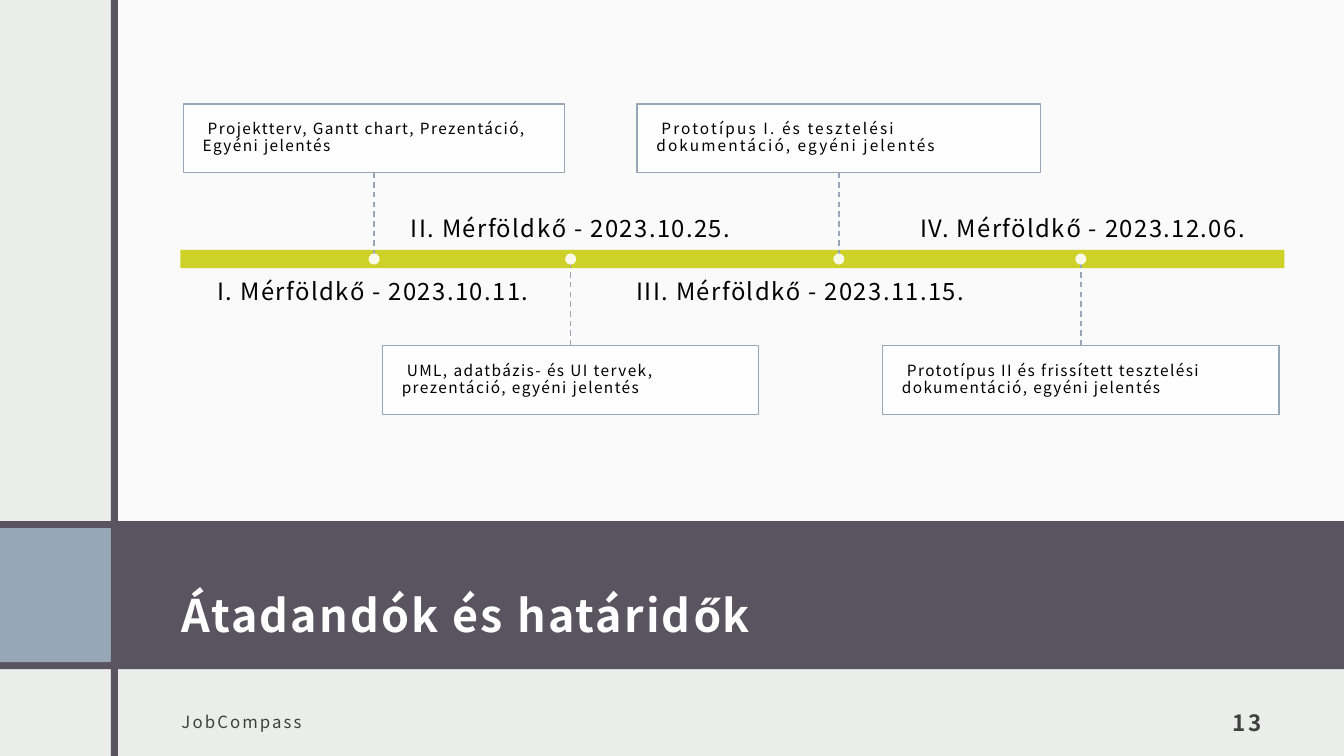
"""Build the slide of project milestones, deliverables and deadlines."""
from pptx import Presentation
from pptx import util as u
from pptx.dml import color
from pptx.enum import dml, shapes, text
from pptx.oxml import ns, xmlchemy

COLORS = {
    "background": "EBEDEB", "white": "FFFFFF", "plum": "595460", "slate": "97A7B8",
    "lime": "CED228", "black": "000000", "gray": "404040",
}
FONT = "Noto Sans CJK JP"
AXIS_Y = 2.57
DOT = 0.11
BOX_HEIGHT = 0.68
LABEL_WIDTH, LABEL_HEIGHT = 3.5, 0.51
FRAME_INSETS = (0.12, 0.12, 0.12, 0.1)
BOX_INSETS = (0.19, 0.04, 0.19, 0.04)

BANDS = [
    (1.14, 0, 12.19, 5.17, "white", 75),
    (0, 5.17, 13.33, 1.47, "plum", 100),
    (0, 5.24, 1.1, 1.33, "slate", 100),
    (1.1, 0, 0.07, 7.5, "plum", 100),
    (1.79, 2.48, 10.95, 0.18, "lime", 100),
]

MILESTONES = [
    (3.71, 3.78, 3.7, True, 1, "I. Mérföldkő - 2023.10.11.",
     "Projektterv, Gantt chart, Prezentáció, Egyéni jelentés"),
    (5.66, 3.73, 5.66, False, 1, "II. Mérföldkő - 2023.10.25.",
     "UML, adatbázis- és UI tervek, prezentáció, egyéni jelentés"),
    (8.32, 4, 7.94, True, 1.5, "III. Mérföldkő - 2023.11.15.",
     "Prototípus I. és tesztelési dokumentáció, egyéni jelentés"),
    (10.72, 3.93, 10.74, False, 1, "IV. Mérföldkő - 2023.12.06.",
     "Prototípus II és frissített tesztelési dokumentáció, egyéni jelentés"),
]


def rgb(name):
    """Return the named palette colour."""
    return color.RGBColor.from_string(COLORS[name])


def set_values(target, values):
    """Set every attribute of target that the dict lists."""
    for name, value in values.items():
        setattr(target, name, value)


def add_block(slide, kind, left, top, width, height, fill, opacity=100):
    """Add a filled preset shape without outline or shadow."""
    shape = slide.shapes.add_shape(kind, *map(u.Inches, (left, top, width, height)))
    shape.shadow.inherit = False
    shape.fill.solid()
    shape.fill.fore_color.rgb = rgb(fill)
    shape.line.fill.background()
    if opacity < 100:
        alpha = xmlchemy.OxmlElement("a:alpha")
        alpha.set("val", str(opacity * 1000))
        shape.fill._xPr.find(".//" + ns.qn("a:srgbClr")).append(alpha)
    return shape


def write(shape, words, size, ink, spacing=1, bold=False, insets=(0, 0, 0, 0),
          anchor="TOP", align="LEFT", line_spacing=1.0, indent=0):
    """Put one formatted paragraph into a shape."""
    frame = shape.text_frame
    sides = ("margin_left", "margin_top", "margin_right", "margin_bottom")
    set_values(frame, dict(zip(sides, map(u.Inches, insets))))
    set_values(frame, {"word_wrap": True, "vertical_anchor": text.MSO_ANCHOR[anchor]})
    paragraph = frame.paragraphs[0]
    set_values(paragraph, {"alignment": text.PP_ALIGN[align], "line_spacing": line_spacing})
    if indent:
        paragraph._p.get_or_add_pPr().set("indent", str(u.Inches(indent)))
    run = paragraph.add_run()
    run.text = words
    set_values(run.font, {"name": FONT, "size": u.Pt(size), "bold": bold})
    run.font.color.rgb = rgb(ink)
    properties = run._r.get_or_add_rPr()
    properties.set("spc", str(int(spacing * 100)))
    east_asian = xmlchemy.OxmlElement("a:ea")
    east_asian.set("typeface", FONT)
    properties.append(east_asian)


def add_text(slide, left, top, width, height, words, size, ink, **formats):
    """Add a text box with one paragraph."""
    box = slide.shapes.add_textbox(*map(u.Inches, (left, top, width, height)))
    write(box, words, size, ink, **formats)


def add_stem(slide, box, center, above):
    """Join a deliverable box to the timeline with a dashed line."""
    x, y = u.Inches(center), u.Inches(AXIS_Y)
    stem = slide.shapes.add_connector(shapes.MSO_CONNECTOR.STRAIGHT, x, y, x, y)
    stem.begin_connect(box, 2 if above else 0)
    set_values(stem.line, {"width": u.Pt(1), "dash_style": dml.MSO_LINE.DASH})
    stem.line.color.rgb = rgb("slate")
    stem._element.spPr.append(xmlchemy.OxmlElement("a:effectLst"))


def add_milestone(slide, center, width, label_center, above, spacing, label, deliverables):
    """Add a milestone: its box, stem, dot and date label."""
    box = add_block(slide, shapes.MSO_SHAPE.RECTANGLE, center - width / 2,
                    1.03 if above else 3.43, width, BOX_HEIGHT, "white", 90)
    box.line.color.rgb = rgb("slate")
    box.line.width = u.Pt(1)
    write(box, deliverables, 11, "black", spacing=spacing, insets=BOX_INSETS,
          anchor="MIDDLE", line_spacing=0.9, indent=0.05)
    add_stem(slide, box, center, above)
    add_block(slide, shapes.MSO_SHAPE.OVAL, center - DOT / 2, AXIS_Y - DOT / 2,
              DOT, DOT, "white", 90)
    add_text(slide, label_center - LABEL_WIDTH / 2, 2.74 if above else 1.89,
             LABEL_WIDTH, LABEL_HEIGHT, label, 17, "black",
             anchor="TOP" if above else "BOTTOM", align="CENTER")


def main():
    """Build and save the presentation."""
    presentation = Presentation()
    set_values(presentation, {"slide_width": u.Inches(13.33), "slide_height": u.Inches(7.5)})
    slide = presentation.slides.add_slide(presentation.slide_layouts[6])
    slide.background.fill.solid()
    slide.background.fill.fore_color.rgb = rgb("background")
    for band in BANDS:
        add_block(slide, shapes.MSO_SHAPE.RECTANGLE, *band)
    add_text(slide, 1.68, 5.33, 10.95, 1.13, "Átadandók és határidők", 32, "white",
             spacing=1.5, bold=True, insets=FRAME_INSETS, anchor="BOTTOM", line_spacing=1.5)
    add_text(slide, 1.68, 6.9, 5.41, 0.5, "JobCompass", 12, "gray",
             spacing=1.5, insets=FRAME_INSETS, anchor="MIDDLE")
    add_text(slide, 11.56, 6.9, 1.07, 0.5, "13", 16, "gray", spacing=1.5, bold=True,
             insets=FRAME_INSETS, anchor="BOTTOM", align="RIGHT")
    for milestone in MILESTONES:
        add_milestone(slide, *milestone)
    presentation.save("out.pptx")


if __name__ == "__main__":
    main()
